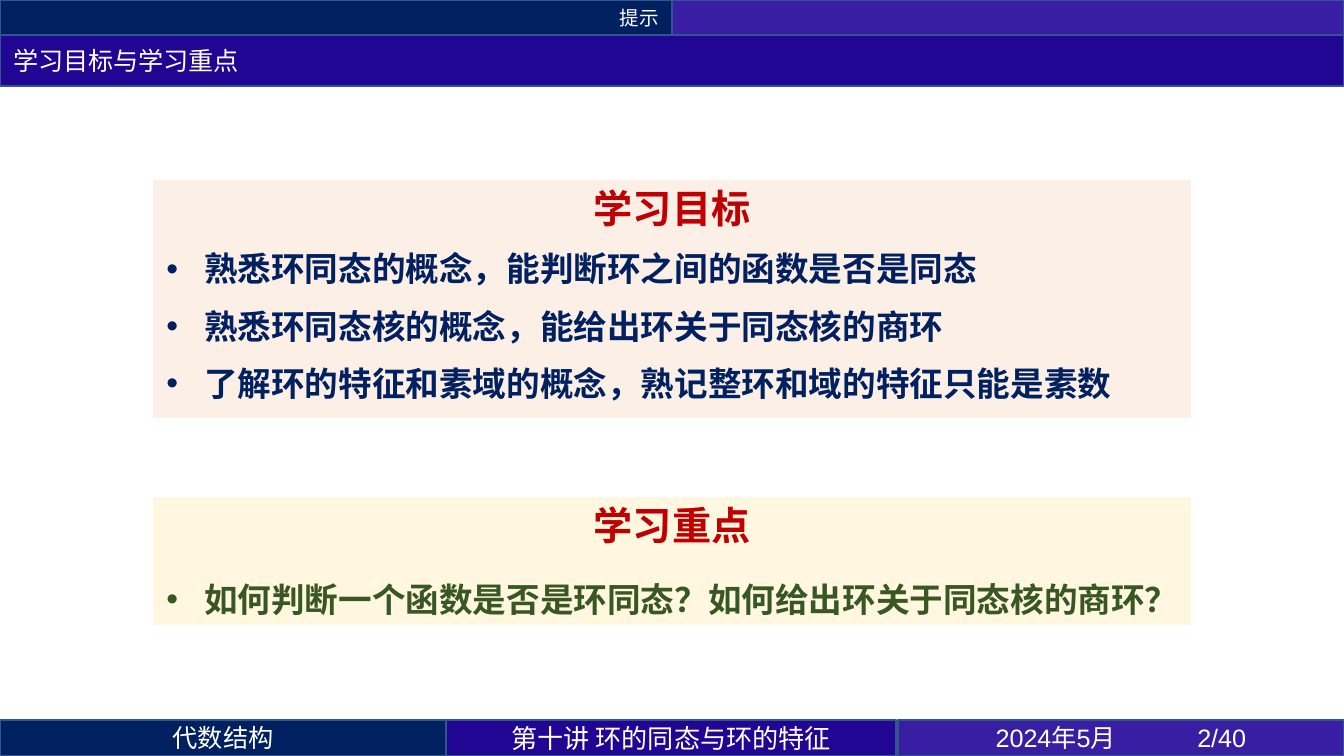
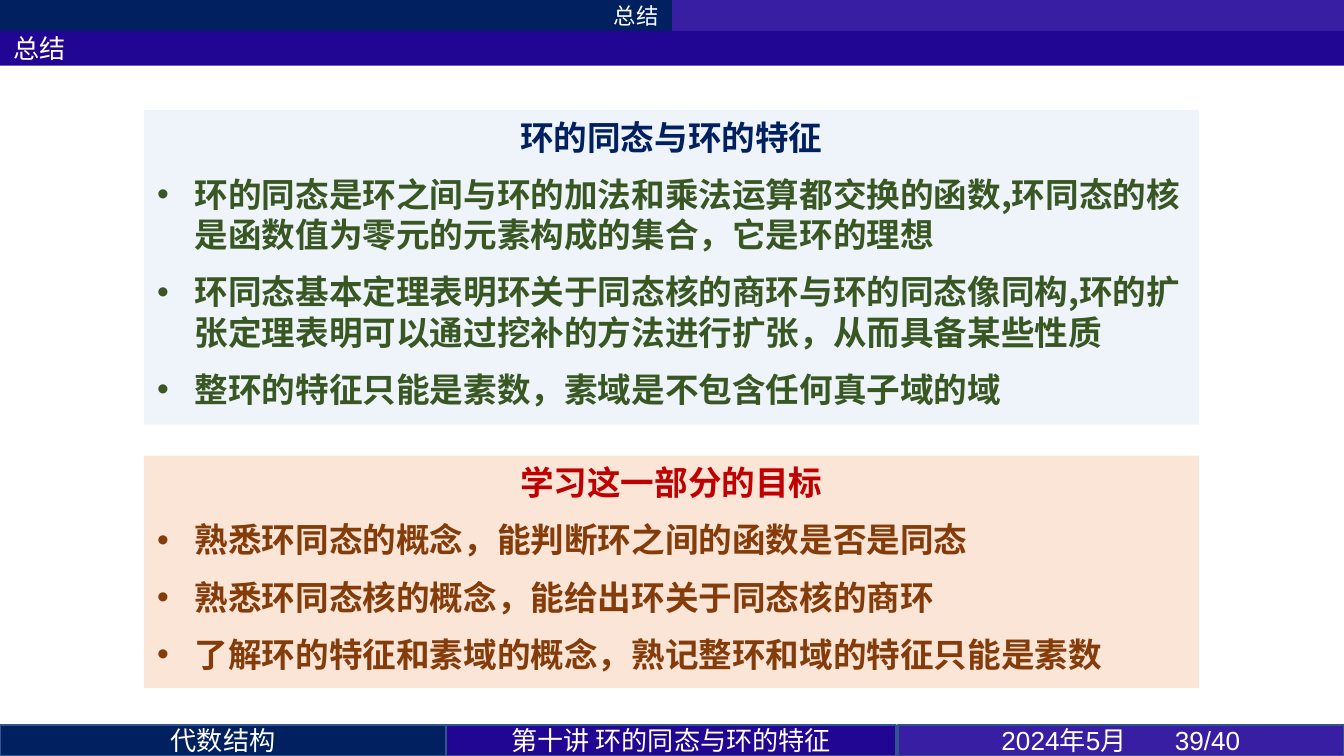
from lxml.etree import SubElement
from pptx import Presentation
from pptx.dml.color import RGBColor
from pptx.enum.shapes import MSO_SHAPE
from pptx.enum.text import MSO_ANCHOR, MSO_AUTO_SIZE, PP_ALIGN
from pptx.oxml.ns import qn
from pptx.util import Inches, Pt

WIDE = 10
HIGH = WIDE * 9 / 16
NAVY, BLUE, VIOLET, EDGE = "002060", "210694", "371EA2", "325491"
WHITE, RED, GREEN, BROWN = "FFFFFF", "C00000", "385723", "843C0B"
CJK = "Noto Sans CJK SC"
LEFT, MID, RIGHT = PP_ALIGN.LEFT, PP_ALIGN.CENTER, PP_ALIGN.RIGHT

GOALS = [
    "熟悉环同态的概念，能判断环之间的函数是否是同态",
    "熟悉环同态核的概念，能给出环关于同态核的商环",
    "了解环的特征和素域的概念，熟记整环和域的特征只能是素数",
]
POINTS = [
    "环的同态是环之间与环的加法和乘法运算都交换的函数,环同态的核是函数值为零元的元素构成的集合，它是环的理想",
    "环同态基本定理表明环关于同态核的商环与环的同态像同构,环的扩张定理表明可以通过挖补的方法进行扩张，从而具备某些性质",
    "整环的特征只能是素数，素域是不包含任何真子域的域",
]

# Bar heights: top, title, foot. Sizes: top, title, then the three foot cells.
# Panel: top, height, fill, alpha, head, head size, head font, head colour,
# line pitch of head, line pitch of items, space before items, font, colour, items
PAGES = [
    dict(top="提示", title="学习目标与学习重点", page="2024年5月 \t2/40", tab=1.5,
         bars=(0.26, 0.38, 0.27), sizes=(10.5, 13.5, 13.5, 14, 13.5), edge=EDGE,
         left=1.14, width=7.72, panels=[
             (1.34, 1.77, "FBE5D6", 60, "学习目标", 21, CJK, RED,
              24, None, 4.5, "Arial", NAVY, GOALS),
             (3.7, 0.95, "FFF2CC", 60, "学习重点", 21, CJK, RED,
              24, 24, 9, "Arial", GREEN,
              ["如何判断一个函数是否是环同态？如何给出环关于同态核的商环？"]),
         ]),
    dict(top="总结", title="总结", page="2024年5月\t39/40", tab=1.29,
         bars=(0.23, 0.26, 0.23), sizes=(12, 14, 14, 14, 14), edge=None,
         left=1.07, width=7.85, panels=[
             (0.82, 2.34, "DEEBF7", 50, "环的同态与环的特征", 18, "Calibri", NAVY,
              None, None, 4.5, CJK, GREEN, POINTS),
             (3.39, 1.73, "FBE5D6", 100, "学习这一部分的目标", 18, "Calibri", RED,
              None, None, 4.5, CJK, BROWN, GOALS),
         ]),
]


def rect(slide, box, fill, edge=None):
    shape = slide.shapes.add_shape(MSO_SHAPE.RECTANGLE, *map(Inches, box))
    shape.shadow.inherit = False
    shape.fill.solid()
    shape.fill.fore_color.rgb = RGBColor.from_string(fill)
    if edge:
        shape.line.color.rgb = RGBColor.from_string(edge)
        shape.line.width = Pt(1)
    else:
        shape.line.fill.background()
    shape.text_frame.word_wrap = True
    shape.text_frame.vertical_anchor = MSO_ANCHOR.MIDDLE
    return shape


def write(para, text, size, font, color, align, bold=False):
    para.text = text
    para.alignment = align
    for run in para.runs:
        run.font.size = Pt(size)
        run.font.bold = bold
        run.font.name = font
        run.font.color.rgb = RGBColor.from_string(color)
        SubElement(run.font._element, qn("a:ea"), typeface=CJK)


prs = Presentation()
prs.slide_width, prs.slide_height = Inches(WIDE), Inches(HIGH)

for page in PAGES:
    slide = prs.slides.add_slide(prs.slide_layouts[6])
    high, tall, low = page["bars"]
    base = HIGH - low
    edge = page["edge"]
    bars = [
        ((0, 0, 5, high), NAVY, edge, page["top"], CJK, RIGHT),
        ((0, high, WIDE, tall), BLUE, edge, page["title"], "Calibri", LEFT),
        ((0, base, 3.32, low), NAVY, EDGE, "代数结构", CJK, MID),
        ((3.32, base, 3.35, low), BLUE, EDGE, "第十讲 环的同态与环的特征", CJK, MID),
        ((6.68, base, 3.32, low), VIOLET, EDGE, page["page"], "Arial", MID),
    ]
    rect(slide, (5, 0, 5, high), VIOLET, edge)
    for (box, fill, line, text, font, align), size in zip(bars, page["sizes"]):
        para = rect(slide, box, fill, line).text_frame.paragraphs[0]
        if "\t" in text:
            tabs = SubElement(para._p.get_or_add_pPr(), qn("a:tabLst"))
            SubElement(tabs, qn("a:tab"), pos=str(Inches(page["tab"])), algn="l")
        write(para, text, size, font, WHITE, align)

    for (top, height, fill, alpha, head, size, face, tint,
         pitch, step, gap, font, color, items) in page["panels"]:
        panel = rect(slide, (page["left"], top, page["width"], height), fill)
        if alpha < 100:
            tone = panel.fill._xPr.find(qn("a:solidFill"))[0]
            SubElement(tone, qn("a:alpha"), val=str(alpha * 1000))
        frame = panel.text_frame
        frame.vertical_anchor = MSO_ANCHOR.TOP
        frame.auto_size = MSO_AUTO_SIZE.SHAPE_TO_FIT_TEXT
        para = frame.paragraphs[0]
        write(para, head, size, face, tint, MID, True)
        para.space_after = Pt(4.5)
        if pitch:
            para.line_spacing = Pt(pitch)
        for item in items:
            para = frame.add_paragraph()
            props = para._p.get_or_add_pPr()
            props.set("marL", str(Inches(0.28)))
            props.set("indent", str(-Inches(0.28)))
            SubElement(props, qn("a:buFont"), typeface="Arial")
            SubElement(props, qn("a:buChar"), char="•")
            write(para, item, 18, font, color, LEFT, True)
            para.space_before, para.space_after = Pt(gap), Pt(4.5)
            if step:
                para.line_spacing = Pt(step)

prs.save("out.pptx")
